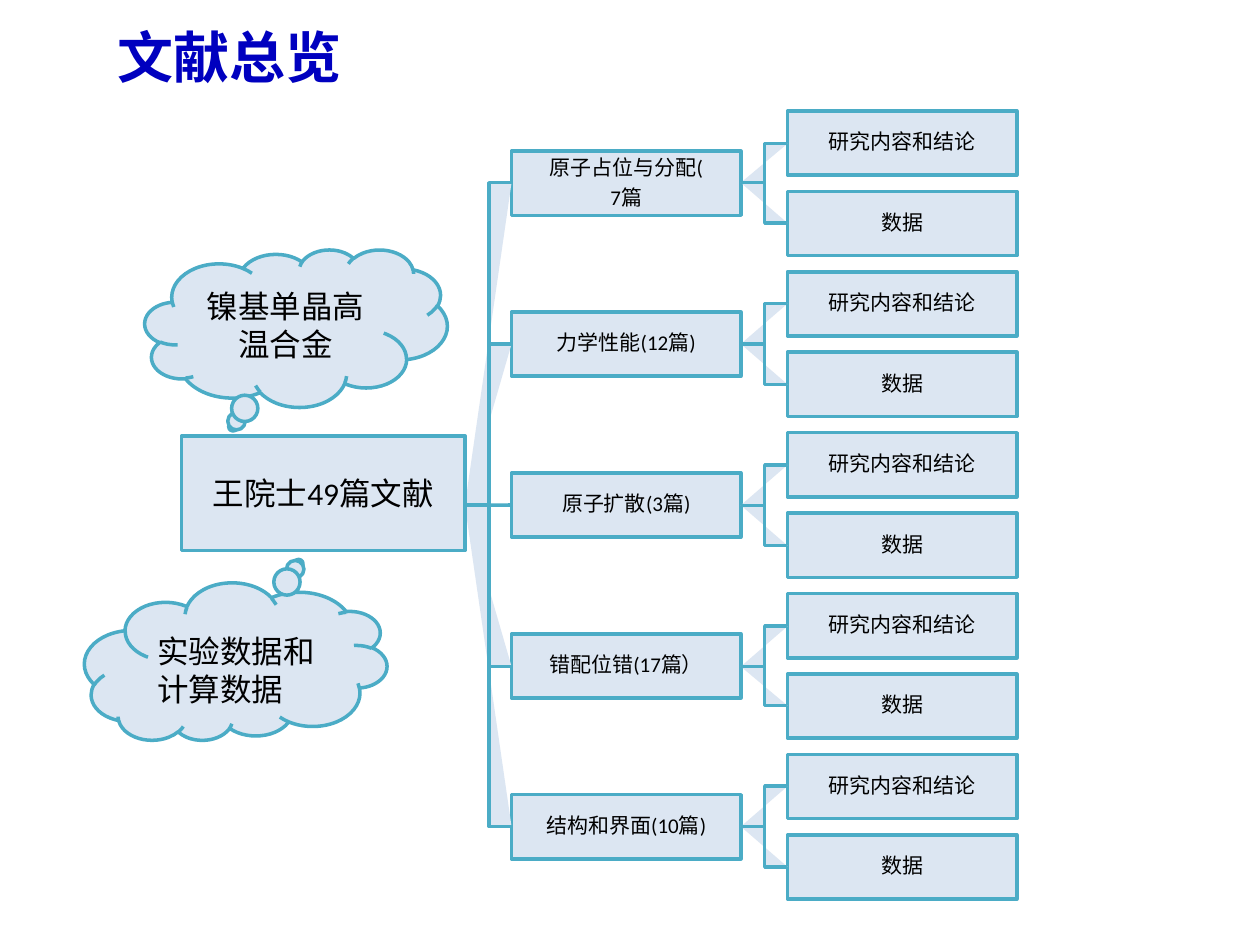
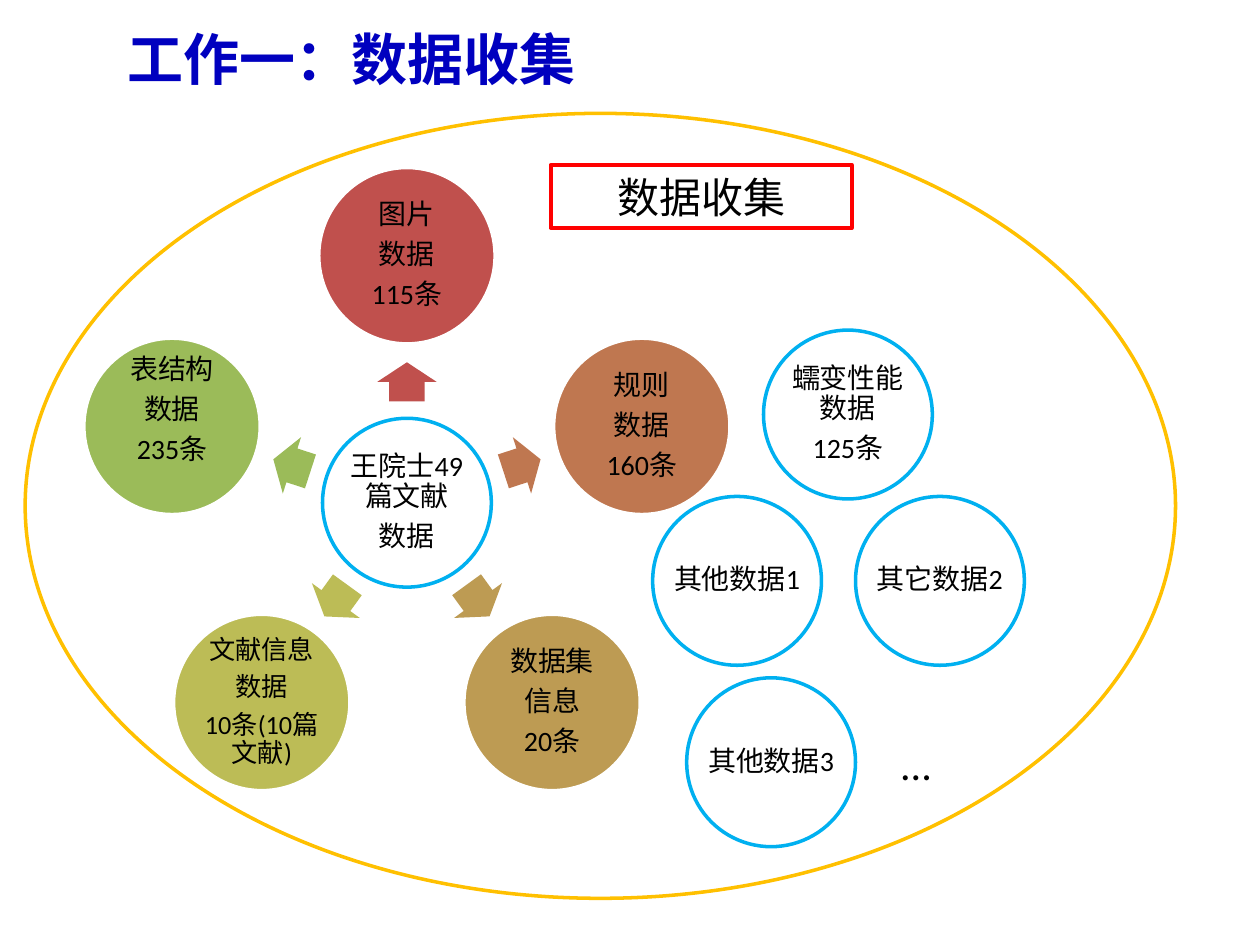
from math import cos, radians, sin

from lxml.etree import SubElement
from pptx import Presentation
from pptx.dml.color import RGBColor
from pptx.enum.shapes import MSO_CONNECTOR, MSO_SHAPE
from pptx.enum.text import MSO_ANCHOR, PP_ALIGN
from pptx.oxml.ns import qn
from pptx.util import Pt

PX = 9144  # EMU in one px, 100 px to the inch
LATIN, HAN = "Calibri", "Noto Sans CJK SC"

BLACK = RGBColor(0x00, 0x00, 0x00)
WHITE = RGBColor(0xFF, 0xFF, 0xFF)
NAVY = RGBColor(0x00, 0x00, 0xBF)
PALE = RGBColor(0xDC, 0xE6, 0xF2)
TEAL = RGBColor(0x4B, 0xAC, 0xC6)
SKY = RGBColor(0x00, 0xB0, 0xF0)
GOLD = RGBColor(0xFF, 0xC0, 0x00)
RED = RGBColor(0xFF, 0x00, 0x00)
BRICK = RGBColor(0xC0, 0x50, 0x4D)
RUST = RGBColor(0xBF, 0x77, 0x50)
SAND = RGBColor(0xBD, 0x9B, 0x53)
OLIVE = RGBColor(0xBC, 0xBC, 0x56)
GREEN = RGBColor(0x9B, 0xBB, 0x59)


class Deck:
    def __init__(self):
        self.prs = Presentation()
        self.prs.slide_width, self.prs.slide_height = 1000 * PX, 750 * PX

    def page(self, title, x, y):
        """Start a slide with its title at x, y."""
        self.slide = self.prs.slides.add_slide(self.prs.slide_layouts[5])
        self.shapes = self.slide.shapes
        head = self.shapes.title
        head.left, head.top, head.width, head.height = self.emu(x, y, 900, 87)
        self.label(head, [title], 32, PP_ALIGN.LEFT, font=HAN, color=NAVY, bold=True)

    def emu(self, *sizes):
        return [round(size * PX) for size in sizes]

    def label(self, shape, lines, size, align=PP_ALIGN.CENTER, anchor=MSO_ANCHOR.MIDDLE,
              inset=None, tight=False, wrap=True, font=LATIN, color=BLACK, bold=False):
        frame = shape.text_frame
        frame.word_wrap, frame.vertical_anchor = wrap, anchor
        if inset is not None:
            frame.margin_left = frame.margin_right = inset * PX
            frame.margin_top = frame.margin_bottom = inset * PX
        for i, line in enumerate(lines):
            para = frame.add_paragraph() if i else frame.paragraphs[0]
            para.alignment = align
            if tight:
                para.line_spacing, para.space_after = 0.9, Pt(size * 0.35)
            run = para.add_run()
            run.text = line
            run.font.name, run.font.size, run.font.bold = font, Pt(size), bold
            run.font.color.rgb = color
            SubElement(run.font._element, qn("a:ea"), typeface=HAN)

    def paint(self, shape, fill, line, width=2):
        shape.shadow.inherit = False
        if fill is None:
            shape.fill.background()
        else:
            shape.fill.solid()
            shape.fill.fore_color.rgb = fill
        if line is None:
            shape.line.fill.background()
        else:
            shape.line.color.rgb, shape.line.width = line, Pt(width)
        return shape

    def shape(self, kind, box, fill=PALE, line=TEAL, width=2):
        return self.paint(self.shapes.add_shape(kind, *self.emu(*box)), fill, line, width)

    def text(self, box, line, size, align):
        area = self.shapes.add_textbox(*self.emu(*box))
        self.label(area, [line], size, align, MSO_ANCHOR.TOP)

    def box(self, x, y, lines):
        node = self.shape(MSO_SHAPE.RECTANGLE, (x, y, 182, 51))
        self.label(node, lines, 12, inset=1, tight=True)
        return node

    def disc(self, x, y, size, lines, fill=None, line=SKY, points=16, wrap=True):
        """Draw a circle centred on x, y."""
        node = self.shape(MSO_SHAPE.OVAL, (x - size / 2, y - size / 2, size, size), fill, line)
        self.label(node, lines, points, inset=2, tight=True, wrap=wrap)
        return node

    def elbow(self, x, y, end):
        """Draw a filled, bent link from x, y to the height end."""
        bend = self.shapes.build_freeform(x, round(y), scale=PX)
        bend.add_line_segments([(x + 19, round(y)), (x + 19, round(end)),
                                (x + 37, round(end))], close=False)
        self.paint(bend.convert_to_shape(), PALE, TEAL)

    def link(self, x, y, node):
        """Draw a straight link from x, y to the left side of node."""
        wire = self.shapes.add_connector(MSO_CONNECTOR.STRAIGHT, *self.emu(x, y, x + 37, y))
        wire.end_connect(node, 1)
        wire.line.color.rgb, wire.line.width = TEAL, Pt(2)
        SubElement(wire._element.spPr, qn("a:effectLst"))


def papers(deck):
    deck.page("文献总览", 83, 1)
    topics = [["原子占位与分配(", "7篇"], ["力学性能(12篇)"], ["原子扩散(3篇)"],
              ["错配位错(17篇）"], ["结构和界面(10篇)"]]
    first, step, half, trunk = 88, 63.85, 25.5, 401
    for i, topic in reversed(list(enumerate(topics))):
        top = first + step * (2 * i + 0.5)
        mid = top + half
        node = deck.box(406, top, topic)
        for j, leaf in reversed(list(enumerate(["研究内容和结论", "数据"]))):
            y = first + step * (2 * i + j)
            deck.box(625, y, [leaf])
            deck.elbow(588, mid, y + half)
        if i == 2:
            deck.link(369, trunk, node)
        else:
            deck.elbow(369, trunk, mid)

    root = deck.shape(MSO_SHAPE.RECTANGLE, (144, 346, 225, 91))
    deck.label(root, ["王院士49篇文献"], 18)
    cloud = deck.shape(MSO_SHAPE.CLOUD_CALLOUT, (115, 198, 240, 125))
    deck.label(cloud, ["镍基单晶高温合金"], 18)
    deck.shape(MSO_SHAPE.CLOUD_CALLOUT, (67, 463, 240, 125)).rotation = 180
    deck.text((115, 497, 165, 71), "实验数据和计算数据", 18, PP_ALIGN.LEFT)


def data(deck):
    deck.page("工作一：数据收集", 91, 3)
    x, y = 323, 399
    deck.disc(x, y, 134, ["王院士49篇文献", "数据"])
    kinds = [
        (BRICK, 16, ["图片", "数据", "115条"]),
        (RUST, 16, ["规则", "数据", "160条"]),
        (SAND, 16, ["数据集", "信息", "20条"]),
        (OLIVE, 15, ["文献信息", "数据", "10条(10篇文献)"]),
        (GREEN, 16, ["表结构", "数据", "235条"]),
    ]
    for i, (color, points, lines) in enumerate(kinds):
        turn = 72 * i - 90
        dx, dy = cos(radians(turn)), sin(radians(turn))
        arrow = deck.shape(MSO_SHAPE.RIGHT_ARROW,
                           (x + 96 * dx - 15.5, y + 96 * dy - 23.5, 31, 47), color, None)
        arrow.adjustments[0], arrow.adjustments[1] = 0.6, 0.5
        arrow.rotation = turn % 360
        last = deck.disc(x + 196 * dx, y + 196 * dy, 140, lines, color, WHITE, points)
    last.text_frame.margin_bottom = 27 * PX

    deck.shape(MSO_SHAPE.OVAL, (20, 90, 913, 623), None, GOLD)
    banner = deck.shape(MSO_SHAPE.RECTANGLE, (437, 131, 239, 50), None, RED, 2.25)
    deck.label(banner, ["数据收集"], 24, anchor=MSO_ANCHOR.TOP)
    deck.disc(673, 329, 134, ["蠕变性能数据", "125条"])
    for cx, cy, name in [(746, 461, "其它数据2"), (585, 461, "其他数据1"),
                         (612, 605, "其他数据3")]:
        deck.disc(cx, cy, 134, [name], wrap=False)
    deck.text((676, 581, 102, 50), "...", 24, PP_ALIGN.CENTER)


def main():
    deck = Deck()
    papers(deck)
    data(deck)
    deck.prs.save("out.pptx")


if __name__ == "__main__":
    main()
